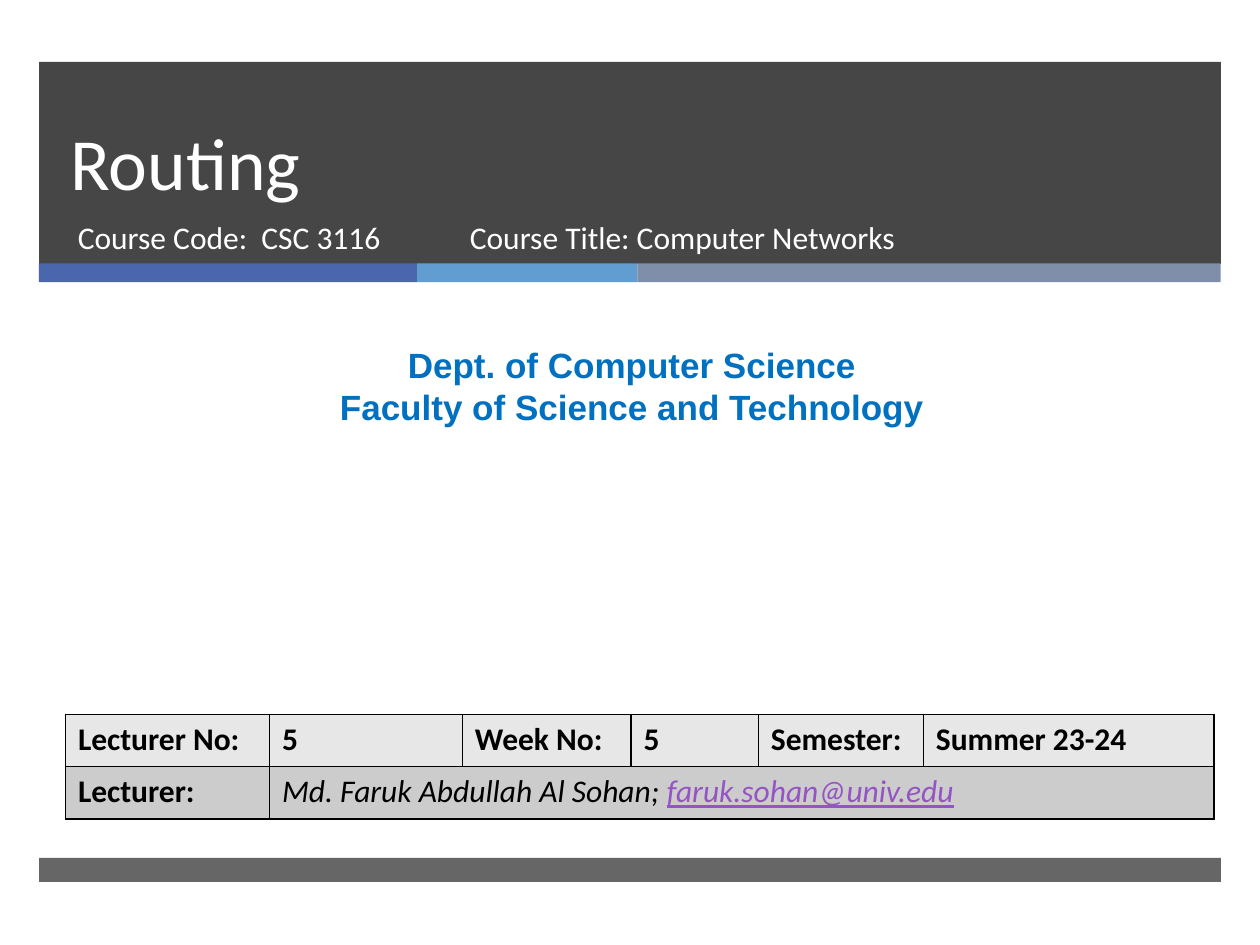
import pptx
import pptx.util
import pptx.dml.color
import pptx.enum.shapes
import pptx.enum.text
import pptx.oxml.ns
import lxml.etree

Pt = pptx.util.Pt
RGB = pptx.dml.color.RGBColor
qn = pptx.oxml.ns.qn
Align = pptx.enum.text.PP_ALIGN
Anchor = pptx.enum.text.MSO_ANCHOR

WHITE = RGB(0xFF, 0xFF, 0xFF)
BLACK = RGB(0, 0, 0)
DARK = RGB(0x26, 0x26, 0x26)
BLUE = RGB(0, 0x70, 0xC0)
LINK = RGB(0x94, 0x54, 0xC3)
LIGHT = RGB(0xE7, 0xE7, 0xE7)
GREY = RGB(0xCC, 0xCC, 0xCC)

TITLE = "Routing"
NOTES = [
    ("Course Code:  CSC 3116", 37.4, 219.6),
    ("Course Title: Computer Networks", 261.4, 327.6),
]
DEPT = ["Dept. of Computer Science", "Faculty of Science and Technology"]
FACTS = ["Lecturer No:", "5", "Week No:", "5", "Semester:", "Summer 23-24"]
NAME = "Md. Faruk Abdullah Al Sohan; "
MAIL = "faruk.sohan@univ.edu"
COLS = [116.6, 110.2, 96.5, 72.7, 94.3, 166]
ROW = 29.9
LEFT, WIDE = 22.3, 675.3
BANDS = [(35.3, 115.5, DARK, 85), (490.3, 13.6, DARK, 70)]
STRIPES = [
    (216, RGB(0x4A, 0x66, 0xAC)),
    (126, RGB(0x62, 0x9D, 0xD1)),
    (333.3, RGB(0x7F, 0x8F, 0xA9)),
]

deck = pptx.Presentation()
deck.slide_width, deck.slide_height = Pt(720), Pt(540)
slide = deck.slides.add_slide(deck.slide_layouts[5])
shapes = slide.shapes


def bar(x, y, w, h, color, alpha=100):
    kind = pptx.enum.shapes.MSO_SHAPE.RECTANGLE
    shape = shapes.add_shape(kind, Pt(x), Pt(y), Pt(w), Pt(h))
    shape.shadow.inherit = False
    shape.line.fill.background()
    shape.fill.solid()
    shape.fill.fore_color.rgb = color
    if alpha < 100:
        tone = shape.element.spPr.find(".//" + qn("a:srgbClr"))
        lxml.etree.SubElement(tone, qn("a:alpha"), val=str(alpha * 1000))


def style(frame, size, color, font="Calibri", bold=False, align=Align.LEFT):
    for para in frame.paragraphs:
        para.alignment = align
        for run in para.runs:
            run.font.name, run.font.size = font, Pt(size)
            run.font.bold = bold
            run.font.color.rgb = color


def label(text, x, y, w, h, *look):
    frame = shapes.add_textbox(Pt(x), Pt(y), Pt(w), Pt(h)).text_frame
    frame.word_wrap = True
    frame.text = text
    style(frame, *look)


def paint(cell, color):
    props = cell._tc.get_or_add_tcPr()
    for side in "LRTB":
        line = lxml.etree.SubElement(props, qn("a:ln" + side), w=str(Pt(1)))
        fill = lxml.etree.SubElement(line, qn("a:solidFill"))
        lxml.etree.SubElement(fill, qn("a:srgbClr"), val=str(BLACK))
    cell.fill.solid()
    cell.fill.fore_color.rgb = color


for y, h, color, alpha in BANDS:
    bar(LEFT, y, WIDE, h, color, alpha)
x = LEFT
for w, color in STRIPES:
    bar(x, 150.5, w, 10.8, color)
    x += w

title = shapes.title
title.element.getparent().append(title.element)
title.left, title.top, title.width, title.height = Pt(33.1), Pt(35.3), Pt(615), Pt(85.7)
frame = title.text_frame
frame.text = TITLE
frame.word_wrap = True
frame.auto_size = pptx.enum.text.MSO_AUTO_SIZE.NONE
frame.vertical_anchor = Anchor.BOTTOM
frame.paragraphs[0].line_spacing = Pt(46)
style(frame, 42, WHITE)

for text, x, w in NOTES:
    label(text, x, 121, w, 38.2, 18, WHITE)
label("\n".join(DEPT), 5.8, 193, 710.6, 55.4, 20, BLUE, "Arial", True, Align.CENTER)

table = shapes.add_table(2, len(COLS), Pt(37.4), Pt(408.2), Pt(sum(COLS)), Pt(2 * ROW)).table
for col, w in zip(table.columns, COLS):
    col.width = Pt(w)
for row, color in zip(table.rows, [LIGHT, GREY]):
    row.height = Pt(ROW)
    for cell in row.cells:
        paint(cell, color)
table.cell(1, 1).merge(table.cell(1, 5))

for i, fact in enumerate(FACTS):
    table.cell(0, i).text_frame.text = fact
    style(table.cell(0, i).text_frame, 18, BLACK, bold=True)
table.cell(1, 0).text_frame.text = "Lecturer:"
style(table.cell(1, 0).text_frame, 18, BLACK, bold=True)

frame = table.cell(1, 1).text_frame
frame.text = NAME
mail = frame.paragraphs[0].add_run()
mail.text = MAIL
style(frame, 18, BLACK)
for run in frame.paragraphs[0].runs:
    run.font.italic = True
mail.font.color.rgb = LINK
mail.font.underline = True

deck.save("out.pptx")
